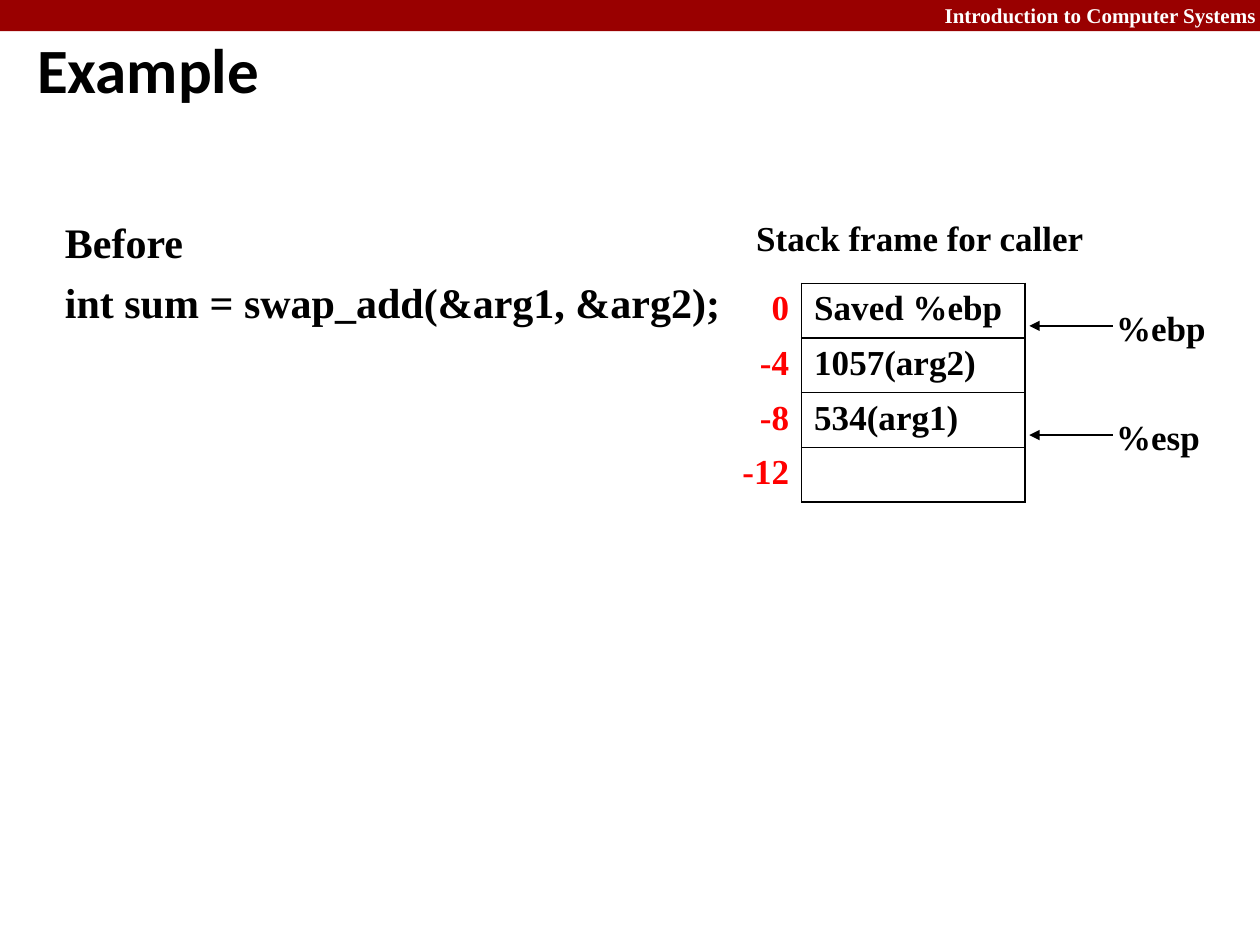
from lxml.etree import SubElement
from pptx import Presentation
from pptx.dml.color import RGBColor
from pptx.enum.shapes import MSO_CONNECTOR, MSO_SHAPE
from pptx.enum.text import MSO_ANCHOR, PP_ALIGN as Align
from pptx.oxml import parse_xml
from pptx.oxml.ns import nsdecls, qn
from pptx.util import Cm, Pt

COLORS = {"band": "990000", "text": "000000", "offset": "FF0000", "light": "FFFFFF"}
SERIF = "Times New Roman"


def write(frame, lines, size, color="text", name=SERIF, align=Align.LEFT):
    """Fill a text frame, one paragraph a line."""
    for index, line in enumerate(lines):
        paragraph = frame.add_paragraph() if index else frame.paragraphs[0]
        paragraph.text = line
        paragraph.alignment = align
        if index:
            paragraph.space_before = Pt(5)
        font_values = {"size": Pt(size), "bold": True, "name": name}
        for attribute, value in font_values.items():
            setattr(paragraph.font, attribute, value)
        paragraph.font.color.rgb = RGBColor.from_string(COLORS[color])


def add_text(shapes, box, lines, size, wrap=True, anchor=MSO_ANCHOR.TOP, **style):
    """Add a text box; box is left, top, width, height in cm."""
    frame = shapes.add_textbox(*map(Cm, box)).text_frame
    frame_values = {"word_wrap": wrap, "vertical_anchor": anchor}
    for attribute, value in frame_values.items():
        setattr(frame, attribute, value)
    write(frame, lines, size, **style)


presentation = Presentation()
presentation.slide_width = Cm(25.4)
presentation.slide_height = Cm(19.05)
slide = presentation.slides.add_slide(presentation.slide_layouts[6])
shapes = slide.shapes

# Course band
band = shapes.add_shape(MSO_SHAPE.RECTANGLE, 0, 0, Cm(25.4), Cm(0.63))
band.shadow.inherit = False
band.fill.solid()
band.fill.fore_color.rgb = RGBColor.from_string(COLORS["band"])
band.line.fill.background()
add_text(shapes, (15.24, -0.08, 10.33, 0.77), ["Introduction to Computer Systems"], 12,
         color="light", align=Align.RIGHT)

# Title
add_text(shapes, (0.5, 0.43, 23.5, 1.9), ["Example"], 36, name="Calibri",
         anchor=MSO_ANCHOR.MIDDLE)

# Stack table: offsets on the left, bordered contents on the right
stack = [("0", "Saved %ebp"), ("-4", "1057(arg2)"), ("-8", "534(arg1)"), ("-12", "")]
row_height = 1.1
table = shapes.add_table(len(stack), 2, Cm(14.61), Cm(5.71), Cm(6.05),
                         Cm(row_height * len(stack))).table
table.first_row = table.horz_banding = False
for column, width in zip(table.columns, (1.55, 4.5)):
    column.width = Cm(width)
columns = [("offset", Align.RIGHT, ["R"]), ("text", Align.LEFT, ["L", "R", "T", "B"])]
for row, values in enumerate(stack):
    table.rows[row].height = Cm(row_height)
    for column, (color, align, bordered) in enumerate(columns):
        cell = table.cell(row, column)
        write(cell.text_frame, [values[column]], 20, color=color, align=align)
        cell.fill.background()
        properties = cell._tc.get_or_add_tcPr()
        for index, side in enumerate("LRTB"):
            paint = (f'<a:solidFill><a:srgbClr val="{COLORS["text"]}"/></a:solidFill>'
                     if side in bordered else "<a:noFill/>")
            properties.insert(index, parse_xml(
                f'<a:ln{side} {nsdecls("a")} w="{Pt(1)}">{paint}</a:ln{side}>'))

# Stack heading and calling code
add_text(shapes, (14.81, 4.24, 7.47, 1.09), ["Stack frame for caller"], 20,
         align=Align.CENTER)
add_text(shapes, (1.06, 4.25, 13.95, 2.51), ["Before", "int sum = swap_add(&arg1, &arg2);"], 24)

# Register pointers, two rows apart
for label, row in (("%ebp", 0), ("%esp", 2)):
    y = 6.57 + row * row_height
    pointer = shapes.add_group_shape()
    add_text(pointer.shapes, (22.25, y - 0.51, 2.8, 1.09), [label], 20)
    arrow = pointer.shapes.add_connector(MSO_CONNECTOR.STRAIGHT, Cm(22.43), Cm(y),
                                         Cm(20.75), Cm(y))
    arrow.line.color.rgb = RGBColor.from_string(COLORS["text"])
    arrow.line.width = Pt(0.75)
    SubElement(arrow.line._get_or_add_ln(), qn("a:tailEnd"), type="triangle")
    SubElement(arrow._element.spPr, qn("a:effectLst"))

presentation.save("out.pptx")
